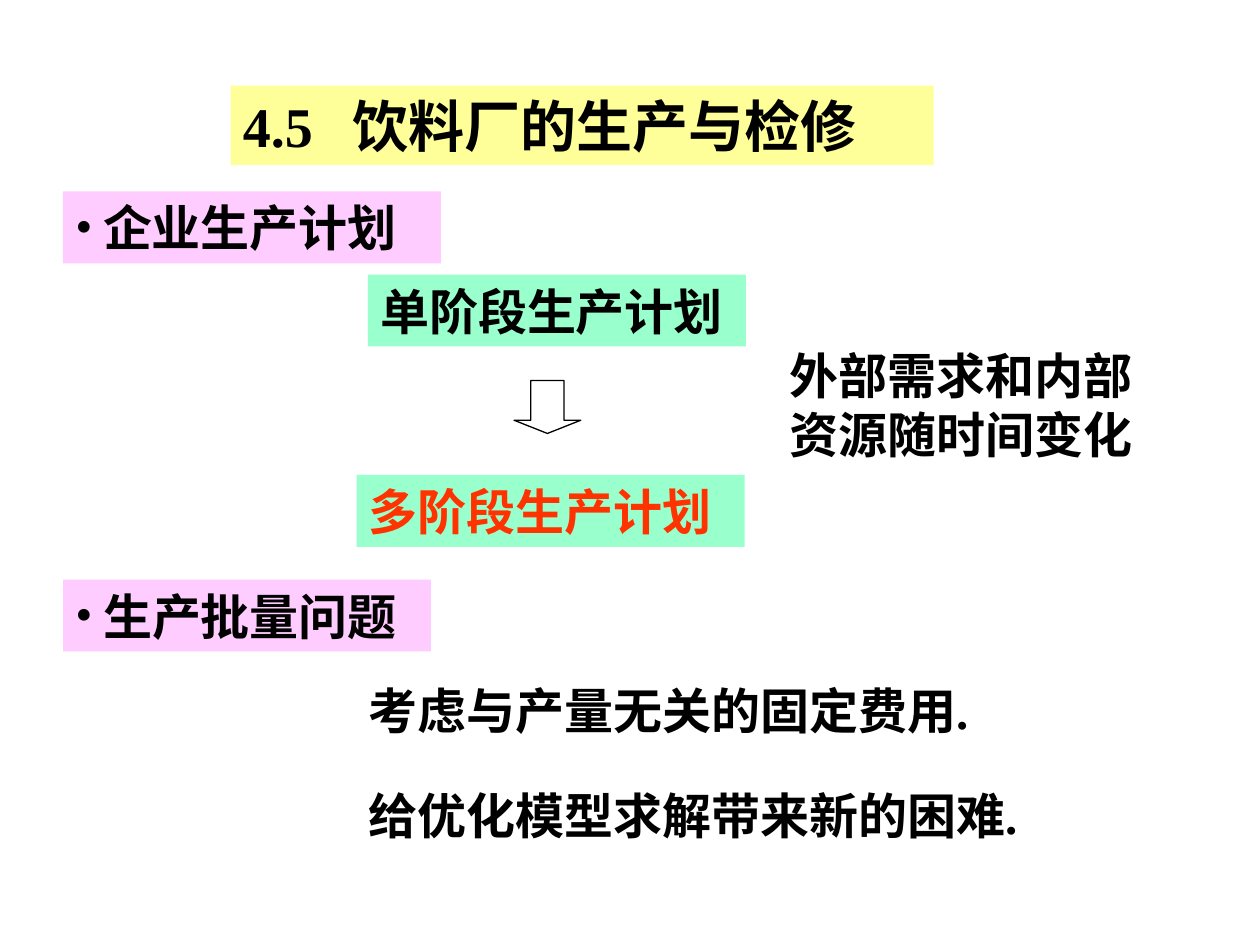
from lxml import etree
from pptx import Presentation
from pptx.dml.color import RGBColor
from pptx.enum.shapes import MSO_SHAPE
from pptx.enum.text import MSO_ANCHOR, PP_ALIGN
from pptx.oxml.ns import qn
from pptx.util import Inches, Pt

RECTANGLE = MSO_SHAPE.RECTANGLE
DOWN_ARROW = MSO_SHAPE.DOWN_ARROW
MIDDLE = MSO_ANCHOR.MIDDLE
LEFT = PP_ALIGN.LEFT

LATIN = "Times New Roman"
CHINESE = "Noto Sans CJK SC"
BLACK, RED = "000000", "FF3300"
YELLOW, GREEN, PINK = "FFFF99", "99FFCC", "FFCCFF"
ROW = 0.57
BULLET_INDENT = 0.22
TITLE_TAB = 0.87


def color(value):
    return RGBColor.from_string(value)


def set_values(target, values):
    for name, value in values.items():
        setattr(target, name, value)


def add_run(paragraph, text, size, font_color, latin=LATIN):
    run = paragraph.add_run()
    run.text = text
    set_values(run.font, {"name": latin, "size": Pt(size), "bold": True})
    run.font.color.rgb = color(font_color)
    properties = run.font._element
    east_asian = etree.Element(qn("a:ea"), typeface=CHINESE)
    properties.find(qn("a:latin")).addnext(east_asian)


def add_panel(slide, box, fill=None):
    lengths = [Inches(length) for length in box]
    if fill:
        shape = slide.shapes.add_shape(RECTANGLE, *lengths)
        shape.shadow.inherit = False
        shape.fill.solid()
        shape.fill.fore_color.rgb = color(fill)
        shape.line.fill.background()
    else:
        shape = slide.shapes.add_textbox(*lengths)
    set_values(shape.text_frame, {"word_wrap": True, "vertical_anchor": MIDDLE})
    paragraph = shape.text_frame.paragraphs[0]
    paragraph.alignment = LEFT
    return paragraph


def add_title(slide, box, number, text):
    paragraph = add_panel(slide, box, YELLOW)
    tabs = etree.SubElement(paragraph._p.get_or_add_pPr(), qn("a:tabLst"))
    etree.SubElement(tabs, qn("a:tab"), pos=str(Inches(TITLE_TAB)), algn="l")
    add_run(paragraph, number + "\t", 32, BLACK)
    add_run(paragraph, text, 32, BLACK, CHINESE)


def add_topic(slide, box, text):
    paragraph = add_panel(slide, box, PINK)
    properties = paragraph._p.get_or_add_pPr()
    indent = Inches(BULLET_INDENT)
    properties.set("marL", str(indent))
    properties.set("indent", str(-indent))
    etree.SubElement(properties, qn("a:buFont"), typeface=LATIN)
    etree.SubElement(properties, qn("a:buChar"), char="•")
    add_run(paragraph, text, 28, BLACK)


def add_statement(slide, box, text, fill=None, font_color=BLACK):
    add_run(add_panel(slide, box, fill), text, 28, font_color)


def add_stage_arrow(slide, box):
    arrow = slide.shapes.add_shape(DOWN_ARROW, *[Inches(length) for length in box])
    arrow.shadow.inherit = False
    arrow.adjustments[0] = 0.5
    arrow.adjustments[1] = 0.25
    arrow.fill.background()
    arrow.line.color.rgb = color(BLACK)
    arrow.line.width = Pt(0.75)


def add_planning(slide, left, top):
    add_topic(slide, (left, top, 3, ROW), "企业生产计划")
    add_statement(slide, (left + 2.42, top + 0.66, 3, ROW), "单阶段生产计划", GREEN)
    add_stage_arrow(slide, (left + 3.58, top + 1.5, 0.53, 0.42))
    add_statement(slide, (left + 2.33, top + 2.25, 3.08, ROW), "多阶段生产计划", GREEN, RED)
    add_statement(slide, (left + 5.67, top + 1.08, 3, 1.22), "外部需求和内部资源随时间变化")


def add_batches(slide, left, top):
    add_topic(slide, (left, top, 2.92, ROW), "生产批量问题")
    statements = ("考虑与产量无关的固定费用.", "给优化模型求解带来新的困难.")
    for index, text in enumerate(statements):
        box = (left + 2.33, top + 0.75 + index * 0.83, 5.33, ROW)
        add_statement(slide, box, text)


def main():
    presentation = Presentation()
    set_values(presentation, {"slide_width": Inches(10), "slide_height": Inches(7.5)})
    slide = presentation.slides.add_slide(presentation.slide_layouts[6])
    add_title(slide, (1.83, 0.68, 5.58, 0.63), "4.5", "饮料厂的生产与检修")
    add_planning(slide, 0.5, 1.52)
    add_batches(slide, 0.5, 4.6)
    presentation.save("out.pptx")


if __name__ == "__main__":
    main()
